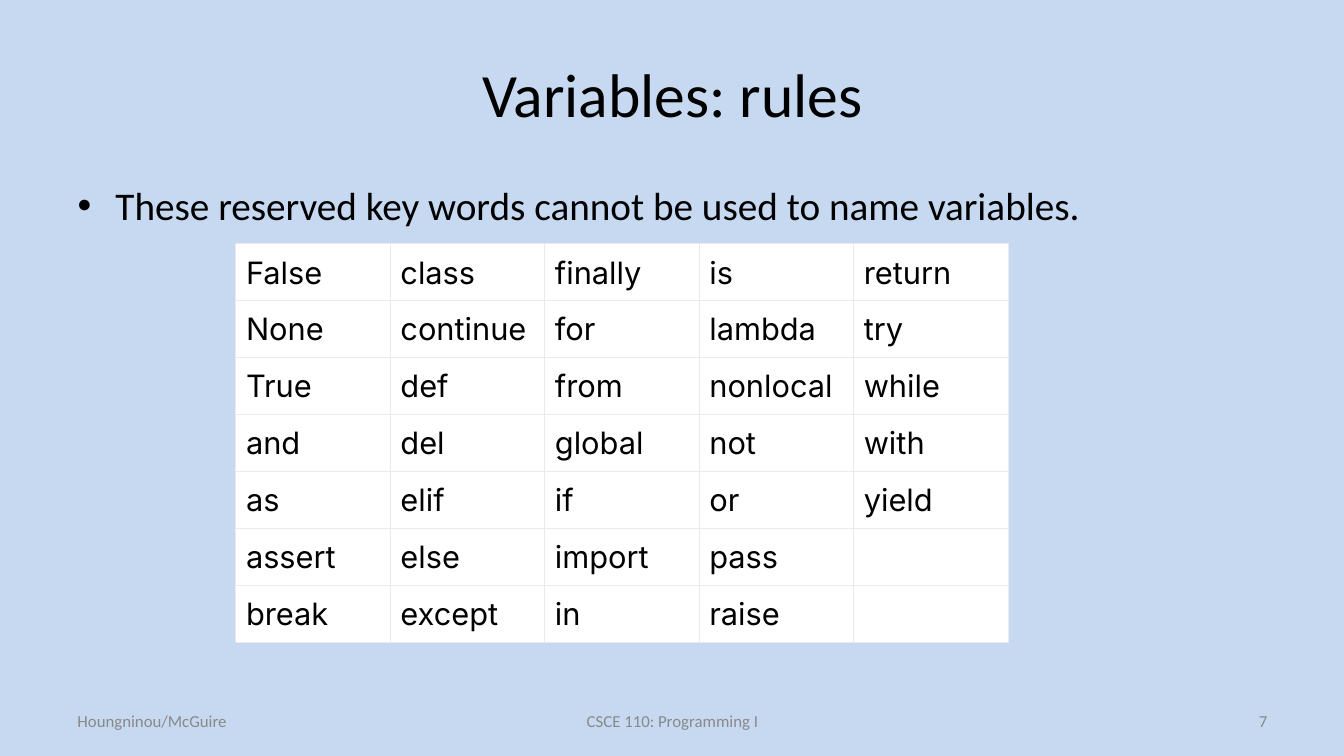
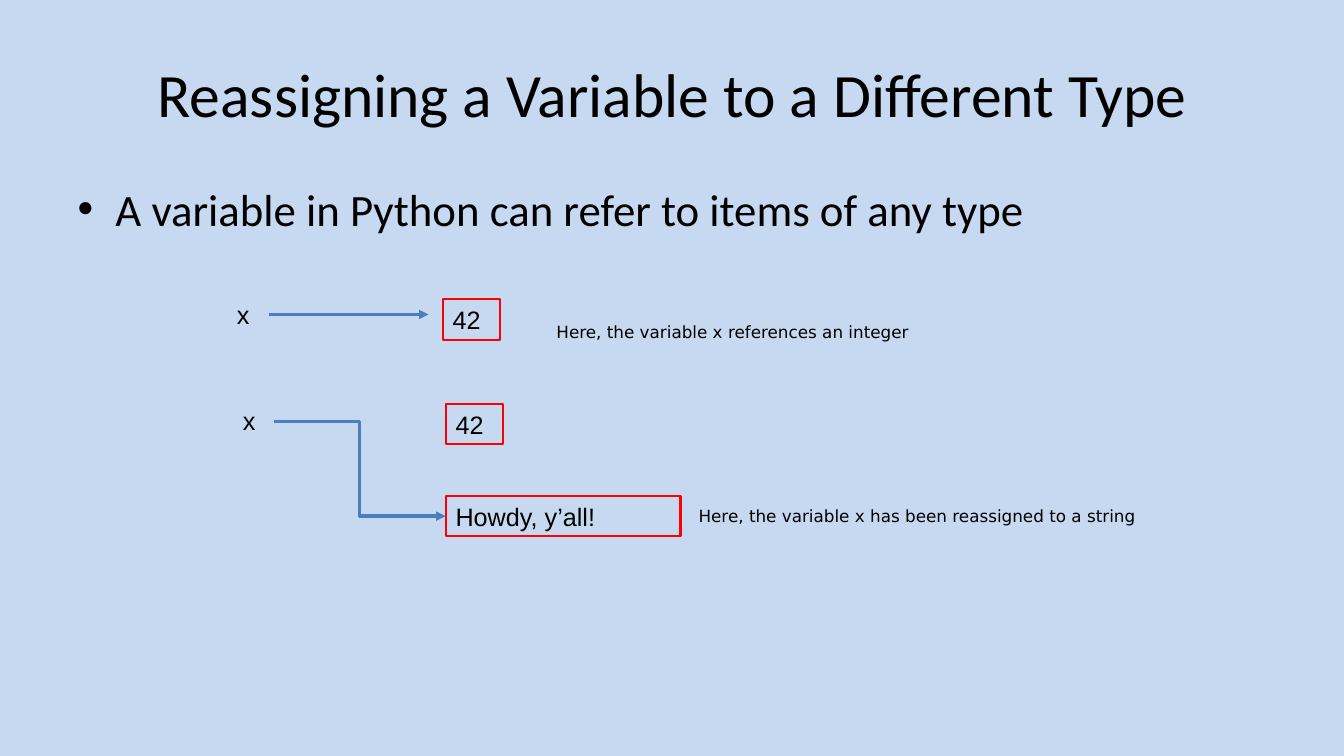
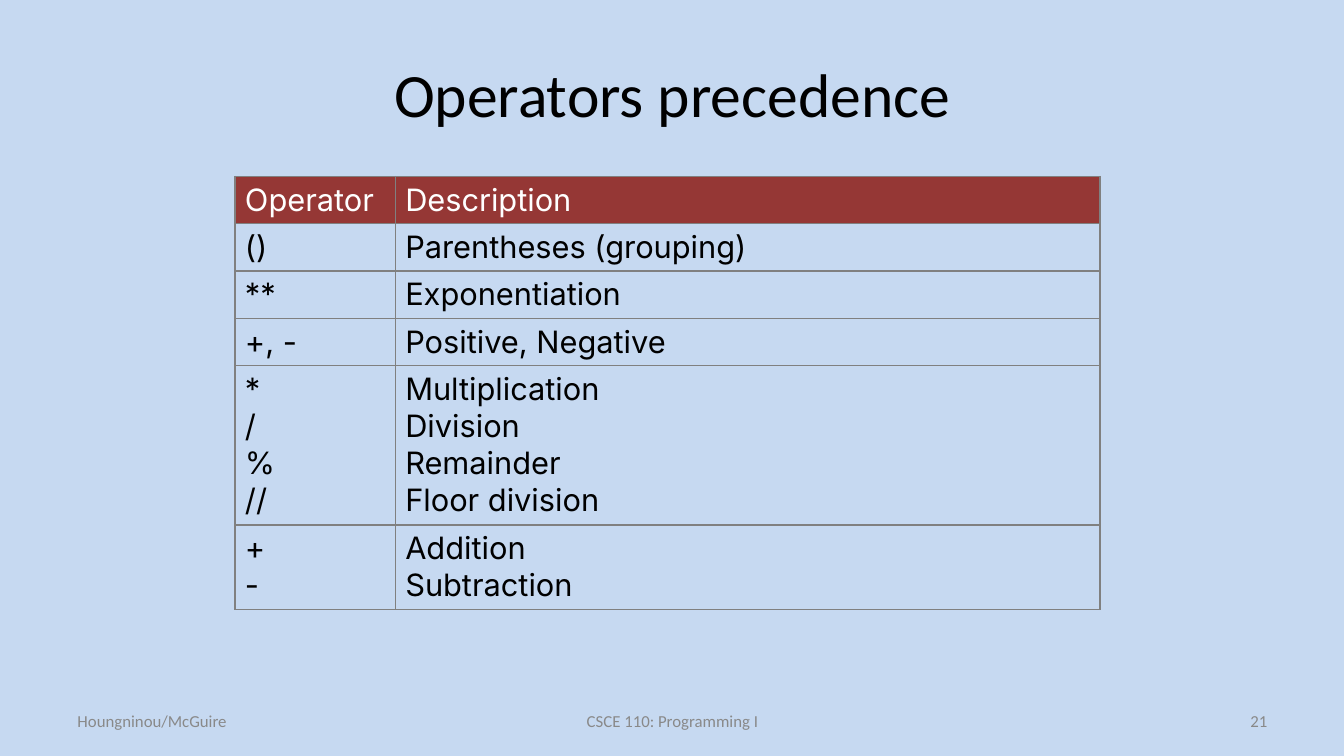
from lxml import etree
from pptx import Presentation
from pptx.dml.color import RGBColor
from pptx.enum import shapes, text
from pptx.oxml import ns
from pptx.util import Inches, Pt

SKY = RGBColor(0xC6, 0xD9, 0xF1)
BLACK = RGBColor(0, 0, 0)
WHITE = RGBColor(0xFF, 0xFF, 0xFF)
GREY = RGBColor(0x89, 0x89, 0x89)
PALE_RULE = RGBColor(0xEA, 0xEA, 0xEC)
DARK_RULE = RGBColor(0x80, 0x80, 0x80)
MAROON = RGBColor(0x95, 0x37, 0x35)
RED = RGBColor(0xFF, 0, 0)
ARROW_BLUE = RGBColor(0x4B, 0x7E, 0xBC)

LEFT = text.PP_ALIGN.LEFT
CENTER = text.PP_ALIGN.CENTER
RIGHT = text.PP_ALIGN.RIGHT
TOP = text.MSO_ANCHOR.TOP
MIDDLE = text.MSO_ANCHOR.MIDDLE
FIT = text.MSO_AUTO_SIZE.SHAPE_TO_FIT_TEXT
FIXED = text.MSO_AUTO_SIZE.NONE

TITLE_BOX = (0.67, 0.3, 12, 1.25)
FOOTER_BOX = (0.67, 6.95, 12, 0.4)
TITLE_AND_BODY, TITLE_ONLY = 1, 5


def inches(box):
    return [Inches(v) for v in box]


def write(tf, lines, font, size, color=BLACK, align=None):
    for i, line in enumerate(lines):
        p = tf.add_paragraph() if i else tf.paragraphs[0]
        p.alignment = align
        if line:
            r = p.add_run()
            r.text = line
            r.font.name = font
            r.font.size = Pt(size)
            r.font.color.rgb = color


def fill_placeholder(sp, box, line, size, align, anchor):
    sp.left, sp.top, sp.width, sp.height = inches(box)
    tf = sp.text_frame
    tf.auto_size = FIXED
    tf.vertical_anchor = anchor
    write(tf, [line], "Calibri", size, align=align)


def add_slide(prs, layout, title):
    s = prs.slides.add_slide(prs.slide_layouts[layout])
    fill_placeholder(s.shapes.title, TITLE_BOX, title, 44, CENTER, MIDDLE)
    return s


def add_bullet(s, box, line, size):
    fill_placeholder(s.placeholders[1], box, line, size, LEFT, TOP)


def add_label(s, box, line, font, size, color=BLACK, align=LEFT,
              anchor=TOP, wrap=True, fit=FIT):
    tf = s.shapes.add_textbox(*inches(box)).text_frame
    tf.word_wrap = wrap
    tf.auto_size = fit
    tf.vertical_anchor = anchor
    write(tf, [line], font, size, color, align)


def add_footer(s, box, number):
    x, y, w, h = box
    side, middle = 3.11, 4.22
    parts = [
        (x, side, "Houngninou/McGuire", LEFT),
        (x + (w - middle) / 2, middle, "CSCE 110: Programming I", CENTER),
        (x + w - side, side, number, RIGHT),
    ]
    for left, width, line, align in parts:
        add_label(s, (left, y, width, h), line, "Calibri", 12, GREY, align,
                  MIDDLE, fit=FIXED)


def add_borders(cell, color, width):
    tcPr = cell._tc.get_or_add_tcPr()
    for i, side in enumerate(("lnL", "lnR", "lnT", "lnB")):
        ln = etree.Element(ns.qn("a:" + side), w=str(Pt(width)))
        fill = etree.SubElement(ln, ns.qn("a:solidFill"))
        etree.SubElement(fill, ns.qn("a:srgbClr"), val=str(color))
        tcPr.insert(i, ln)


def add_grid(s, box, rows, widths, heights, rule, rule_width, style):
    table = s.shapes.add_table(len(rows), len(widths), *inches(box)).table
    table.first_row = table.horz_banding = False
    for column, width in zip(table.columns, widths):
        column.width = Inches(width)
    for i, (row, height) in enumerate(zip(rows, heights)):
        table.rows[i].height = Inches(height)
        for j, entry in enumerate(row):
            cell = table.cell(i, j)
            fill, color = style(i)
            if fill is None:
                cell.fill.background()
            else:
                cell.fill.solid()
                cell.fill.fore_color.rgb = fill
            add_borders(cell, rule, rule_width)
            write(cell.text_frame, entry.split("\n"), "Inter", 22, color)
    return table


def add_keyword_table(s, box):
    rows = [line.split(",") for line in (
        "False,class,finally,is,return",
        "None,continue,for,lambda,try",
        "True,def,from,nonlocal,while",
        "and,del,global,not,with",
        "as,elif,if,or,yield",
        "assert,else,import,pass,",
        "break,except,in,raise,",
    )]
    w, h = box[2:]
    table = add_grid(s, box, rows, [w / 5] * 5, [h / len(rows)] * len(rows),
                     PALE_RULE, 0.75, lambda i: (WHITE, BLACK))
    for cell in table.iter_cells():
        cell.vertical_anchor = MIDDLE
        cell.margin_left = cell.margin_top = Inches(0.1)
        cell.margin_right = Inches(0.08)
        cell.margin_bottom = Inches(0.09)


def add_precedence_table(s, box):
    rows = [
        ("Operator", "Description"),
        ("()", "Parentheses (grouping)"),
        ("**", "Exponentiation"),
        ("+, -", "Positive, Negative"),
        ("*\n/\n%\n//", "Multiplication\nDivision\nRemainder\nFloor division"),
        ("+\n-", "Addition\nSubtraction"),
    ]
    operator_width = 1.59
    heights = [0.1 + 0.37 * len(row[0].split("\n")) for row in rows]
    add_grid(s, box, rows, [operator_width, box[2] - operator_width], heights,
             DARK_RULE, 1,
             lambda i: (None, BLACK) if i else (MAROON, WHITE))


def add_value(s, box, line):
    sp = s.shapes.add_shape(shapes.MSO_SHAPE.RECTANGLE, *inches(box))
    sp.shadow.inherit = False
    sp.fill.background()
    sp.line.color.rgb = RED
    sp.line.width = Pt(1.5)
    tf = sp.text_frame
    tf.word_wrap = True
    tf.auto_size = FIT
    tf.vertical_anchor = TOP
    write(tf, [line], "Arial", 18, align=LEFT)


def add_arrow(s, kind, start, end):
    sp = s.shapes.add_connector(kind, *inches(start + end))
    sp.line.color.rgb = ARROW_BLUE
    sp.line.width = Pt(2.25)
    etree.SubElement(sp.line._get_or_add_ln(), ns.qn("a:tailEnd"),
                     type="triangle")
    etree.SubElement(sp._element.spPr, ns.qn("a:effectLst"))


def add_reference_diagram(s, box):
    x, y = box[:2]
    for dx, dy in ((0, 0), (0.06, 1.05)):
        add_label(s, (x + dx, y + dy, 0.42, 0.42), "x", "Arial", 18)
    for dx, dy, width, line in (
        (2.14, 0.05, 0.57, "42"),
        (2.17, 1.09, 0.57, "42"),
        (2.17, 2, 2.33, "Howdy, y’all!"),
    ):
        add_value(s, (x + dx, y + dy, width, 0.4), line)
    for dx, dy, width, line in (
        (3.17, 0.22, 3.79, "Here, the variable x references an integer"),
        (4.58, 2.05, 4.61,
         "Here, the variable x has been reassigned to a string"),
    ):
        add_label(s, (x + dx, y + dy, width, 0.3), line, "DejaVu Sans", 12,
                  wrap=False)
    add_arrow(s, shapes.MSO_CONNECTOR.STRAIGHT,
              (x + 0.42, y + 0.2), (x + 2, y + 0.2))
    add_arrow(s, shapes.MSO_CONNECTOR.ELBOW,
              (x + 0.47, y + 1.26), (x + 2.17, y + 2.2))


def keywords_slide(prs):
    s = add_slide(prs, TITLE_AND_BODY, "Variables: rules")
    add_bullet(s, (0.67, 1.75, 12, 4.95),
               "These reserved key words cannot be used to name variables.",
               28)
    add_keyword_table(s, (2.34, 2.42, 7.66, 3.95))
    add_footer(s, FOOTER_BOX, "7")


def reassigning_slide(prs):
    s = add_slide(prs, TITLE_AND_BODY,
                  "Reassigning a Variable to a Different Type")
    add_bullet(s, (0.67, 1.75, 10.5, 0.83),
               "A variable in Python can refer to items of any type", 32)
    add_reference_diagram(s, (2.25, 2.92, 9.19, 2.4))


def precedence_slide(prs):
    s = add_slide(prs, TITLE_ONLY, "Operators precedence")
    add_precedence_table(s, (2.33, 1.75, 8.58, 4.27))
    add_footer(s, FOOTER_BOX, "21")


prs = Presentation()
prs.slide_width, prs.slide_height = inches((13.33, 7.5))
background = prs.slide_master.background.fill
background.solid()
background.fore_color.rgb = SKY
keywords_slide(prs)
reassigning_slide(prs)
precedence_slide(prs)
prs.save("out.pptx")
